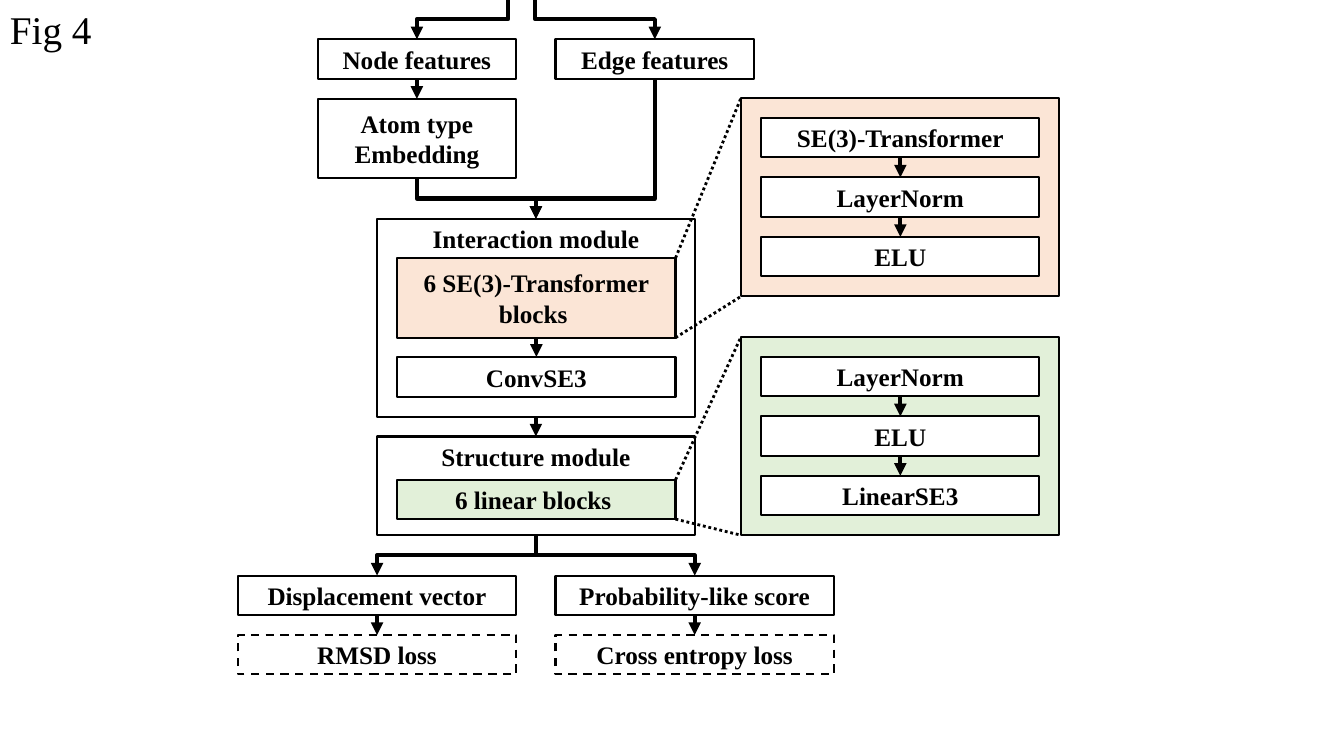
from lxml import etree
from pptx import Presentation
from pptx.dml.color import RGBColor
from pptx.enum.dml import MSO_LINE
from pptx.enum.shapes import MSO_CONNECTOR, MSO_SHAPE
from pptx.enum.text import MSO_ANCHOR, PP_ALIGN
from pptx.oxml.ns import qn
from pptx.util import Pt

PX = 9144  # EMU per px, 100 px to the inch
FONT = "Times New Roman"
COLORS = {"ink": "000000", "paper": "FFFFFF", "peach": "FBE5D6", "green": "E2F0D9"}
RECT = MSO_SHAPE.RECTANGLE
STRAIGHT, ELBOW = MSO_CONNECTOR.STRAIGHT, MSO_CONNECTOR.ELBOW
DASH, DOTS = MSO_LINE.DASH, MSO_LINE.ROUND_DOT
TOP, MIDDLE = MSO_ANCHOR.TOP, MSO_ANCHOR.MIDDLE
LEFT, CENTER = PP_ALIGN.LEFT, PP_ALIGN.CENTER
TOP_SIDE, BOTTOM_SIDE = 0, 2
BEND = 20  # px from the bend of an elbow arrow to its tip


def color(name):
    return RGBColor.from_string(COLORS[name])


def write(shape, text, size=18, bold=True, align=CENTER, anchor=MIDDLE):
    frame = shape.text_frame
    frame.word_wrap = True
    frame.vertical_anchor = anchor
    for index, line in enumerate(text.split("\n")):
        paragraph = frame.paragraphs[0] if index == 0 else frame.add_paragraph()
        paragraph.alignment = align
        run = paragraph.add_run()
        run.text = line
        run.font.name = FONT
        run.font.size = Pt(size)
        run.font.bold = bold
        run.font.color.rgb = color("ink")


def add_box(slide, x, y, w, h, text="", fill="paper", dash=None, anchor=MIDDLE):
    box = slide.shapes.add_shape(RECT, x * PX, y * PX, w * PX, h * PX)
    box.shadow.inherit = False
    box.fill.solid()
    box.fill.fore_color.rgb = color(fill)
    box.line.color.rgb = color("ink")
    box.line.width = Pt(1.5)
    if dash:
        box.line.dash_style = dash
    if text:
        write(box, text, anchor=anchor)
    return box


def style_line(connector, width=3, dash=None, arrow=True):
    connector.line.color.rgb = color("ink")
    connector.line.width = Pt(width)
    if dash:
        connector.line.dash_style = dash
    properties = connector._element.spPr
    if arrow:
        outline = properties.find(qn("a:ln"))
        etree.SubElement(outline, qn("a:tailEnd"), type="triangle")
    etree.SubElement(properties, qn("a:effectLst"))


def add_arrow(slide, source, target):
    arrow = slide.shapes.add_connector(STRAIGHT, 0, 0, 0, 0)
    arrow.begin_connect(source, BOTTOM_SIDE)
    arrow.end_connect(target, TOP_SIDE)
    style_line(arrow)


def add_elbow(slide, target, source=None, start=None):
    """Arrow that runs down, sideways, then down into the top of target."""
    elbow = slide.shapes.add_connector(ELBOW, 0, 0, 0, 0)
    if source:
        elbow.begin_connect(source, BOTTOM_SIDE)
        x1, y1 = source.left + source.width // 2, source.top + source.height
    else:
        x1, y1 = start[0] * PX, start[1] * PX
    elbow.end_connect(target, TOP_SIDE)
    x2, y2 = target.left + target.width // 2, target.top

    # The preset runs sideways first, so its frame is turned a quarter
    drop, shift = y2 - y1, abs(x2 - x1)
    elbow.left = (x1 + x2 - drop) // 2
    elbow.top = (y1 + y2 - shift) // 2
    elbow.width, elbow.height = drop, shift
    properties = elbow._element.spPr
    frame = properties.find(qn("a:xfrm"))
    rightward = x2 > x1
    frame.set("rot", str((270 if rightward else 90) * 60000))
    frame.set("flipH", "1" if rightward else "0")
    frame.set("flipV", "0")
    guides = properties.find(qn("a:prstGeom")).find(qn("a:avLst"))
    bend = round(100000 * (1 - BEND * PX / drop))
    etree.SubElement(guides, qn("a:gd"), name="adj1", fmla=f"val {bend}")
    style_line(elbow)


def add_zoom_lines(slide, block, panel):
    """Dotted lines from the right corners of block to the left ones of panel."""
    right = block.left + block.width
    for y1, y2 in ((block.top, panel.top),
                   (block.top + block.height, panel.top + panel.height)):
        dots = slide.shapes.add_connector(STRAIGHT, right, y1, panel.left, y2)
        style_line(dots, width=2, dash=DOTS, arrow=False)


def add_detail_panel(slide, y, fill, layers):
    panel = add_box(slide, 735, y, 315, 197, fill=fill)
    boxes = [add_box(slide, 755, y + 20 + 59 * row, 276, 39, layer)
             for row, layer in enumerate(layers)]
    for upper, lower in zip(boxes, boxes[1:]):
        add_arrow(slide, upper, lower)
    return panel


def main():
    prs = Presentation()
    prs.slide_width, prs.slide_height = 1333 * PX, 750 * PX
    slide = prs.slides.add_slide(prs.slide_layouts[6])

    # Figure label
    label = slide.shapes.add_textbox(0, 0, 138 * PX, 59 * PX)
    write(label, "Fig 4", size=28, bold=False, align=LEFT, anchor=TOP)

    # Input features
    nodes = add_box(slide, 315, 39, 197, 39, "Node features")
    edges = add_box(slide, 551, 39, 197, 39, "Edge features")
    embedding = add_box(slide, 315, 98, 197, 79, "Atom type Embedding")

    # Modules and their blocks
    interaction = add_box(slide, 374, 217, 315, 197, "Interaction module", anchor=TOP)
    structure = add_box(slide, 374, 433, 315, 98, "Structure module", anchor=TOP)
    transformers = add_box(slide, 394, 256, 276, 79,
                           "6 SE(3)-Transformer\nblocks ", fill="peach")
    convolution = add_box(slide, 394, 354, 276, 40, "ConvSE3")
    linears = add_box(slide, 394, 476, 276, 39, "6 linear blocks ", fill="green")

    # Outputs, each above its loss
    outputs = []
    for x, output, loss in ((236, "Displacement vector", "RMSD loss"),
                            (551, "Probability-like score", "Cross entropy loss")):
        output_box = add_box(slide, x, 571, 276, 39, output)
        loss_box = add_box(slide, x, 630, 276, 39, loss, dash=DASH)
        add_arrow(slide, output_box, loss_box)
        outputs.append(output_box)

    # Flow through the network
    add_elbow(slide, nodes, start=(504, 0))
    add_elbow(slide, edges, start=(531, 0))
    for source, target in ((nodes, embedding), (transformers, convolution),
                           (interaction, structure)):
        add_arrow(slide, source, target)
    for source in (edges, embedding):
        add_elbow(slide, interaction, source=source)
    for output_box in outputs:
        add_elbow(slide, output_box, source=structure)

    # Details of the repeated blocks
    transformer_panel = add_detail_panel(
        slide, 97, "peach", ("SE(3)-Transformer", "LayerNorm", "ELU"))
    linear_panel = add_detail_panel(
        slide, 334, "green", ("LayerNorm", "ELU", "LinearSE3"))
    add_zoom_lines(slide, transformers, transformer_panel)
    add_zoom_lines(slide, linears, linear_panel)

    prs.save("out.pptx")


if __name__ == "__main__":
    main()
